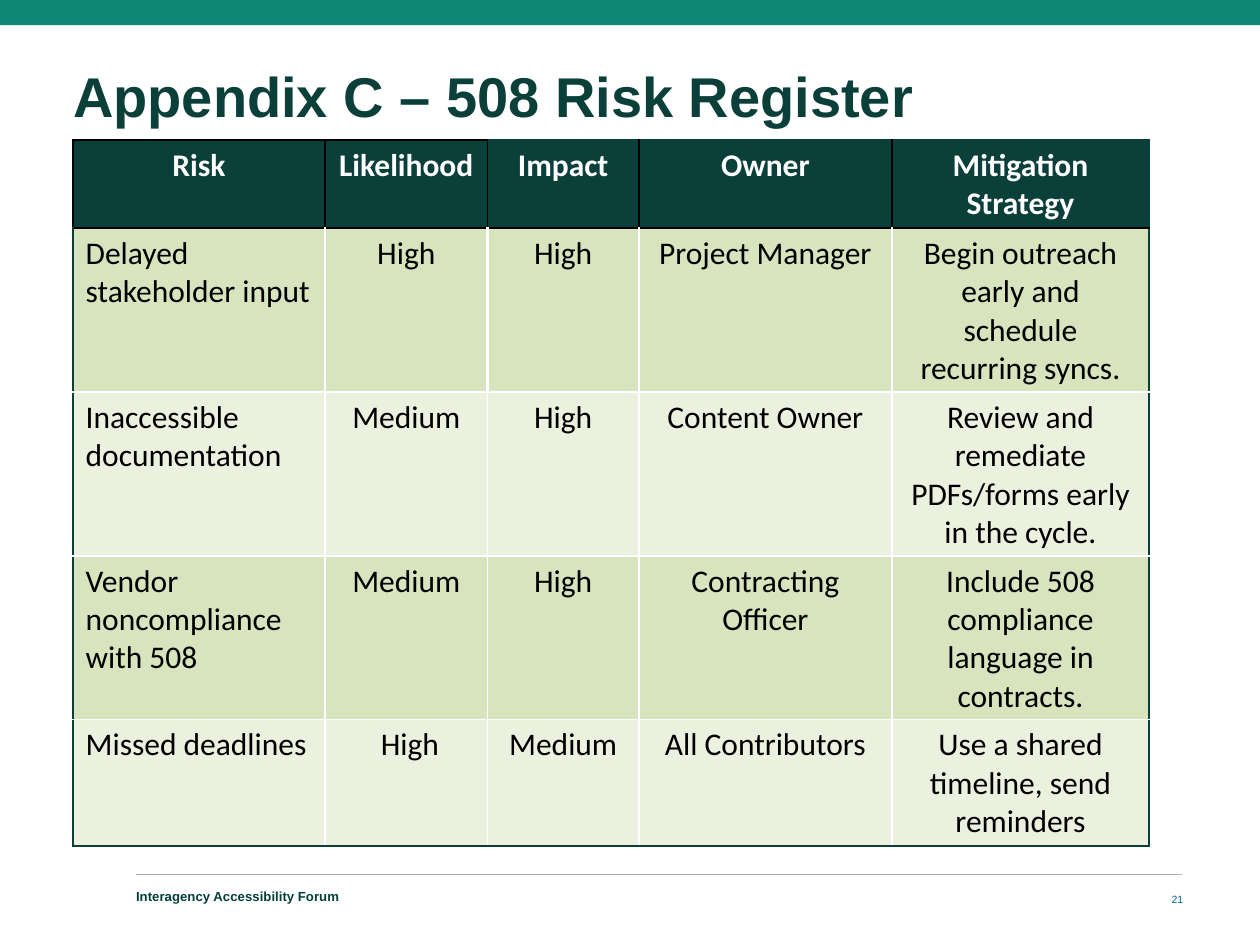
from lxml import etree
from pptx import Presentation
from pptx.dml.color import RGBColor
from pptx.enum.shapes import MSO_CONNECTOR, MSO_SHAPE
from pptx.enum.text import MSO_ANCHOR, MSO_AUTO_SIZE, PP_ALIGN
from pptx.oxml.ns import qn
from pptx.util import Inches, Pt

LEFT, CENTER, RIGHT = PP_ALIGN.LEFT, PP_ALIGN.CENTER, PP_ALIGN.RIGHT
TOP, MIDDLE = MSO_ANCHOR.TOP, MSO_ANCHOR.MIDDLE
TITLE_ONLY = 5

TEAL = RGBColor(0x0E, 0x87, 0x75)
DARK_GREEN = RGBColor(0x0B, 0x3F, 0x3A)
FOOTER_GREEN = RGBColor(0x03, 0x3F, 0x3A)
PAGE_BLUE = RGBColor(0x00, 0x61, 0x97)
RULE_GRAY = RGBColor(0xB2, 0xB2, 0xB2)
BAND_GREEN = RGBColor(0xD7, 0xE4, 0xBD)
BAND_PALE = RGBColor(0xEB, 0xF1, 0xDE)
BLACK = RGBColor(0, 0, 0)
WHITE = RGBColor(0xFF, 0xFF, 0xFF)

COLUMN_WIDTHS = [2, 1.29, 1.2, 2.01, 2.04]
ROW_HEIGHTS = [0.68, 1.27, 1.27, 1.27, 0.98]
RISKS = [
    ["Risk", "Likelihood", "Impact", "Owner", "Mitigation Strategy"],
    ["Delayed stakeholder input", "High", "High", "Project Manager",
     "Begin outreach early and schedule recurring syncs."],
    ["Inaccessible documentation", "Medium", "High", "Content Owner",
     "Review and remediate PDFs/forms early in the cycle."],
    ["Vendor noncompliance with 508", "Medium", "High", "Contracting Officer",
     "Include 508 compliance language in contracts."],
    ["Missed deadlines", " High", "Medium", "All Contributors",
     "Use a shared timeline, send reminders"],
]


def set_values(target, values):
    for name, value in values.items():
        setattr(target, name, value)


def write(frame, text, size, color, font="Arial", bold=False, align=LEFT, spacing=None):
    para = frame.paragraphs[0]
    set_values(para, {"alignment": align, "line_spacing": spacing})
    span = para.add_run()
    span.text = text
    set_values(span.font, {"name": font, "size": Pt(size), "bold": bold})
    span.font.color.rgb = color


def set_frame(frame, anchor, top_inset=0):
    set_values(frame, {
        "word_wrap": True, "vertical_anchor": anchor, "margin_left": 0,
        "margin_right": 0, "margin_top": Inches(top_inset), "margin_bottom": 0,
    })


def place(shape, left, top, width, height):
    set_values(shape, {"left": Inches(left), "top": Inches(top),
                       "width": Inches(width), "height": Inches(height)})


def add_text(page, area, text, **style):
    box = page.shapes.add_textbox(*map(Inches, area))
    set_frame(box.text_frame, MIDDLE)
    write(box.text_frame, text, **style)


def add_top_bar(page):
    bar = page.shapes.add_shape(MSO_SHAPE.RECTANGLE, 0, 0, Inches(10), Inches(0.2))
    bar.shadow.inherit = False
    bar.fill.solid()
    bar.fill.fore_color.rgb = TEAL
    bar.line.fill.background()


def add_rule(page):
    rule = page.shapes.add_connector(
        MSO_CONNECTOR.STRAIGHT, Inches(1.08), Inches(6.94), Inches(9.38), Inches(6.94))
    rule.line.color.rgb = RULE_GRAY
    rule.line.width = Pt(0.75)
    etree.SubElement(rule._element.spPr, qn("a:effectLst"))


def add_title(page, text):
    title = page.shapes.title
    place(title, 0.58, 0.5, 8.79, 0.54)
    set_frame(title.text_frame, TOP, top_inset=0.05)
    title.text_frame.auto_size = MSO_AUTO_SIZE.SHAPE_TO_FIT_TEXT
    write(title.text_frame, text, 32, DARK_GREEN, bold=True, spacing=0.9)


def cell_borders(row, column):
    """Dark outline around the table, black header grid, white body grid."""
    last_row, last_column = len(RISKS) - 1, len(COLUMN_WIDTHS) - 1
    outline, black, white = (DARK_GREEN, 1.5), (BLACK, 1), (WHITE, 1)
    inner = black if row == 0 else white
    borders = dict.fromkeys(["L", "R", "T", "B"], inner)
    if row == 0 and column >= 2:
        borders["T"] = outline
    if row == 1:
        borders["T"] = black
    if row > 0 and column == 0:
        borders["L"] = outline
    if column == last_column:
        borders["R"] = outline
    if row == last_row:
        borders["B"] = outline
    if row == 1 and column in (1, 2):
        borders["R" if column == 1 else "L"] = (WHITE, 1.5)
    return borders


def draw_borders(cell, borders):
    properties = cell._tc.get_or_add_tcPr()
    for side, (color, width) in borders.items():
        line = etree.SubElement(properties, qn(f"a:ln{side}"), w=str(Pt(width)))
        fill = etree.SubElement(line, qn("a:solidFill"))
        etree.SubElement(fill, qn("a:srgbClr"), val=str(color))


def add_risk_table(page):
    frame = page.shapes.add_table(
        len(RISKS), len(COLUMN_WIDTHS), Inches(0.58), Inches(1.11),
        Inches(sum(COLUMN_WIDTHS)), Inches(sum(ROW_HEIGHTS)))
    table = frame.table
    for column, width in zip(table.columns, COLUMN_WIDTHS):
        column.width = Inches(width)
    for row, height in zip(table.rows, ROW_HEIGHTS):
        row.height = Inches(height)
    for row, texts in enumerate(RISKS):
        header = row == 0
        band = DARK_GREEN if header else (BAND_PALE, BAND_GREEN)[row % 2]
        for column, text in enumerate(texts):
            cell = table.cell(row, column)
            draw_borders(cell, cell_borders(row, column))
            cell.fill.solid()
            cell.fill.fore_color.rgb = band
            write(cell.text_frame, text, 18, WHITE if header else BLACK,
                  font="Calibri", bold=header,
                  align=CENTER if header or column else LEFT)


def main():
    deck = Presentation()
    set_values(deck, {"slide_width": Inches(10), "slide_height": Inches(7.5)})
    page = deck.slides.add_slide(deck.slide_layouts[TITLE_ONLY])

    # Page frame
    add_top_bar(page)
    add_rule(page)
    add_text(page, (1.08, 7.04, 5.26, 0.19), "Interagency Accessibility Forum",
             size=7.5, color=FOOTER_GREEN, bold=True, spacing=0.5)

    # Content
    add_title(page, "Appendix C – 508 Risk Register")
    add_risk_table(page)

    # Page number
    add_text(page, (8.95, 7.04, 0.44, 0.2), "21", size=6, color=PAGE_BLUE, align=RIGHT)

    deck.save("out.pptx")


if __name__ == "__main__":
    main()
